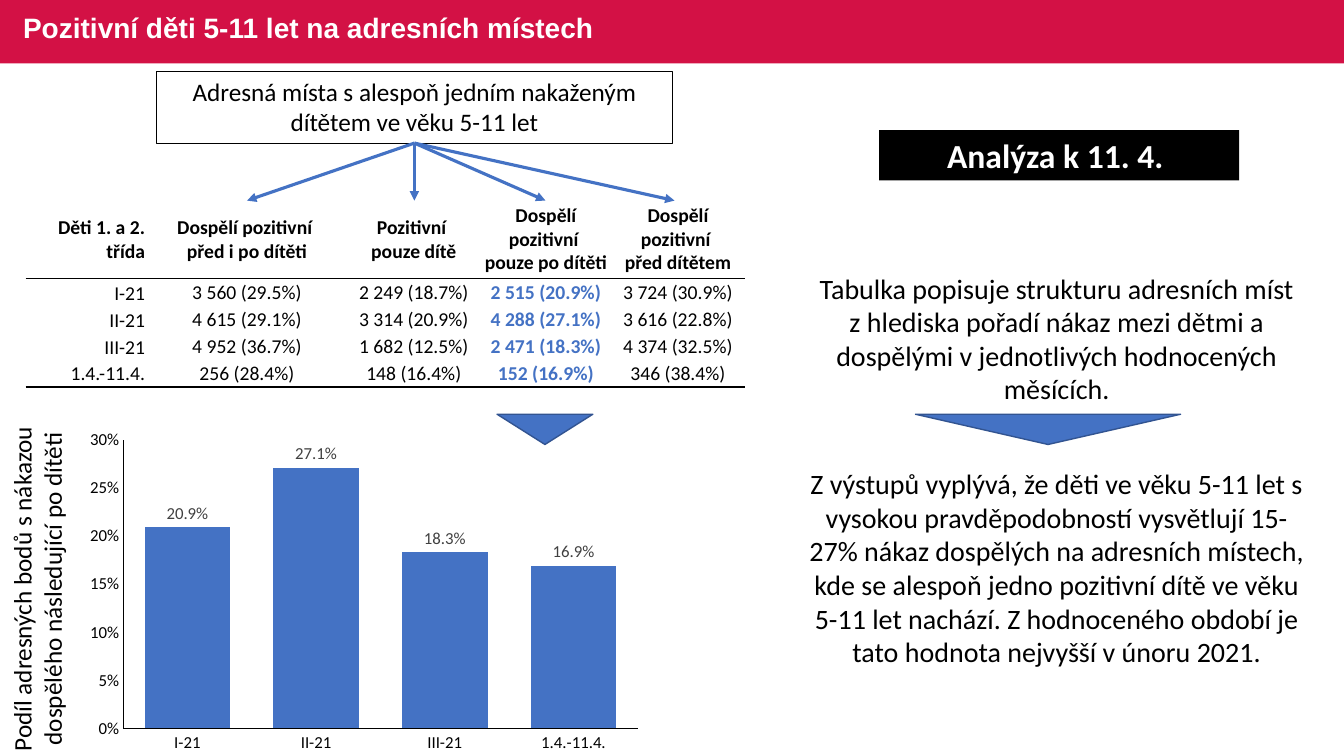
from lxml.etree import SubElement
from pptx import Presentation
from pptx.chart.data import CategoryChartData
from pptx.dml.color import RGBColor
from pptx.enum.chart import XL_CHART_TYPE, XL_LABEL_POSITION, XL_TICK_MARK
from pptx.enum.shapes import MSO_CONNECTOR, MSO_SHAPE
from pptx.enum.text import MSO_ANCHOR, PP_ALIGN
from pptx.oxml.ns import qn
from pptx.util import Inches, Pt

COLORS = {
    "crimson": "D31145",
    "blue": "4472C4",
    "navy": "325491",
    "gray": "404040",
    "black": "000000",
    "white": "FFFFFF",
}


def color(name):
    return RGBColor.from_string(COLORS[name])


def write(frame, text, size=20, ink="black", bold=False, font="Calibri",
          align=PP_ALIGN.CENTER, anchor=MSO_ANCHOR.TOP, spacing=1.0):
    frame.word_wrap = True
    frame.vertical_anchor = anchor
    for index, line in enumerate(text.split("\n")):
        para = frame.paragraphs[0] if index == 0 else frame.add_paragraph()
        para.alignment = align
        para.line_spacing = spacing
        span = para.add_run()
        span.text = line
        span.font.size = Pt(size)
        span.font.name = font
        span.font.bold = bold
        span.font.color.rgb = color(ink)


deck = Presentation()
deck.slide_width = Inches(13.33)
deck.slide_height = Inches(7.5)
page = deck.slides.add_slide(deck.slide_layouts[6])

rows = [
    ["Děti 1. a 2. třída", "Dospělí pozitivní \npřed i po dítěti", "Pozitivní \npouze dítě",
     "Dospělí pozitivní \npouze po dítěti", "Dospělí pozitivní \npřed dítětem"],
    ["I-21", "3 560 (29.5%)", "2 249 (18.7%)", "2 515 (20.9%)", "3 724 (30.9%)"],
    ["II-21", "4 615 (29.1%)", "3 314 (20.9%)", "4 288 (27.1%)", "3 616 (22.8%)"],
    ["III-21", "4 952 (36.7%)", "1 682 (12.5%)", "2 471 (18.3%)", "4 374 (32.5%)"],
    ["1.4.-11.4.", "256 (28.4%)", "148 (16.4%)", "152 (16.9%)", "346 (38.4%)"],
]
last = len(rows) - 1
table = page.shapes.add_table(
    len(rows), 5, Inches(0.26), Inches(1.98), Inches(7.12), Inches(1.86)).table
table.first_row = False
table.horz_banding = False
for column, width in zip(table.columns, (1.19, 2, 1.31, 1.31, 1.31)):
    column.width = Inches(width)
for r, values in enumerate(rows):
    table.rows[r].height = Inches(0.27 if r else 0.78)
    for c, value in enumerate(values):
        cell = table.cell(r, c)
        cell.margin_left = cell.margin_right = cell.margin_top = Inches(0.01)
        cell.margin_bottom = 0
        highlighted = r > 0 and c == 3
        write(cell.text_frame, value, size=14, bold=r == 0 or highlighted,
              ink="blue" if highlighted else "black",
              align=PP_ALIGN.CENTER if c else PP_ALIGN.RIGHT)
        low = c == 0 and 0 < r < last
        cell.vertical_anchor = MSO_ANCHOR.BOTTOM if low else MSO_ANCHOR.MIDDLE
        ruled = {"lnT": r == 1, "lnB": r in (0, last)}
        for side in ("lnL", "lnR", "lnT", "lnB"):
            border = SubElement(cell._tc.get_or_add_tcPr(), qn("a:" + side), w=str(Pt(1)))
            paint = SubElement(border, qn("a:solidFill"))
            ink = "black" if ruled.get(side) else "white"
            SubElement(paint, qn("a:srgbClr"), val=COLORS[ink])
        cell.fill.background()

shapes = {}
for name, kind, left, top, width, height, fill, line, weight in [
    ("banner", MSO_SHAPE.RECTANGLE, 0, 0, 13.33, 0.63, "crimson", None, 0),
    ("places", MSO_SHAPE.RECTANGLE, 1.55, 0.71, 5.12, 0.71, None, "black", 0.75),
    ("date", MSO_SHAPE.RECTANGLE, 8.72, 1.29, 3.57, 0.5, "black", None, 0),
    ("table pointer", MSO_SHAPE.DOWN_ARROW, 4.93, 4.11, 0.95, 0.3, "blue", "navy", 1),
    ("text pointer", MSO_SHAPE.DOWN_ARROW, 9.08, 4.11, 2.63, 0.3, "blue", "navy", 1),
]:
    shape = page.shapes.add_shape(kind, Inches(left), Inches(top), Inches(width), Inches(height))
    shape.shadow.inherit = False
    if fill:
        shape.fill.solid()
        shape.fill.fore_color.rgb = color(fill)
    else:
        shape.fill.background()
    if line:
        shape.line.color.rgb = color(line)
        shape.line.width = Pt(weight)
    else:
        shape.line.fill.background()
    if kind == MSO_SHAPE.DOWN_ARROW:
        shape.adjustments[0] = 0.5
        shape.adjustments[1] = 1
    shapes[name] = shape

write(shapes["places"].text_frame,
      "Adresná místa s alespoň jedním nakaženým dítětem ve věku 5-11 let", size=18)
write(shapes["date"].text_frame, "Analýza k 11. 4. ", size=24, ink="white", bold=True)

for end in (2.45, 4.11, 5.41, 6.69):
    arrow = page.shapes.add_connector(
        MSO_CONNECTOR.STRAIGHT, Inches(4.11), Inches(1.42), Inches(end), Inches(1.99))
    arrow.begin_connect(shapes["places"], 2)
    arrow.line.color.rgb = color("blue")
    arrow.line.width = Pt(2.25)
    SubElement(arrow.line._get_or_add_ln(), qn("a:tailEnd"), type="triangle")
    SubElement(arrow._element.spPr, qn("a:effectLst"))

data = CategoryChartData(number_format="0.0%")
data.categories = [values[0] for values in rows[1:]]
data.add_series("Series 1", (0.209, 0.271, 0.183, 0.169))
chart = page.shapes.add_chart(
    XL_CHART_TYPE.COLUMN_CLUSTERED,
    Inches(0.78), Inches(4.2), Inches(5.66), Inches(3.33), data).chart
chart.has_title = False
chart.has_legend = False
chart.font.size = Pt(10)
chart.font.name = "Calibri"
chart.font.color.rgb = color("black")
for axis in (chart.category_axis, chart.value_axis):
    axis.has_major_gridlines = False
    axis.major_tick_mark = XL_TICK_MARK.NONE
    axis.minor_tick_mark = XL_TICK_MARK.NONE
    axis.format.line.color.rgb = color("black")
    axis.format.line.width = Pt(0.75)
    axis.tick_labels.font.size = Pt(12)
    axis.tick_labels.font.name = "Calibri"
    axis.tick_labels.font.color.rgb = color("black")
chart.value_axis.minimum_scale = 0
chart.value_axis.maximum_scale = 0.3
chart.value_axis.major_unit = 0.05
chart.value_axis.tick_labels.number_format = "0%"
chart.value_axis.tick_labels.number_format_is_linked = False

plot = chart.plots[0]
plot.vary_by_categories = False
plot.gap_width = 50
plot.overlap = -27
bars = plot.series[0]
bars.format.fill.solid()
bars.format.fill.fore_color.rgb = color("blue")
labels = bars.data_labels
labels.show_value = True
labels.position = XL_LABEL_POSITION.OUTSIDE_END
labels.number_format = "0.0%"
labels.number_format_is_linked = False
labels.font.size = Pt(12)
labels.font.name = "Calibri"
labels.font.color.rgb = color("gray")

for left, top, width, height, turn, text, style in [
    (0.13, -0.02, 8.35, 0.63, 0, "Pozitivní děti 5-11 let na adresních místech",
     dict(ink="white", bold=True, font="Arial", align=PP_ALIGN.LEFT,
          anchor=MSO_ANCHOR.MIDDLE, spacing=0.9)),
    (-1.54, 5.49, 3.82, 0.71, 270,
     "Podíl adresných bodů s nákazou dospělého následující po dítěti", dict(size=18)),
    (7.97, 2.64, 5.02, 1.45, 0,
     "Tabulka popisuje strukturu adresních míst z hlediska pořadí nákaz mezi dětmi a "
     "dospělými v jednotlivých hodnocených měsících.", {}),
    (7.87, 4.58, 5.22, 2.12, 0,
     "Z výstupů vyplývá, že děti ve věku 5-11 let s vysokou pravděpodobností vysvětlují "
     "15-27% nákaz dospělých na adresních místech, kde se alespoň jedno pozitivní dítě ve "
     "věku 5-11 let nachází. Z hodnoceného období je tato hodnota nejvyšší v únoru 2021.", {}),
]:
    box = page.shapes.add_textbox(Inches(left), Inches(top), Inches(width), Inches(height))
    box.rotation = turn
    write(box.text_frame, text, **style)

deck.save("out.pptx")
